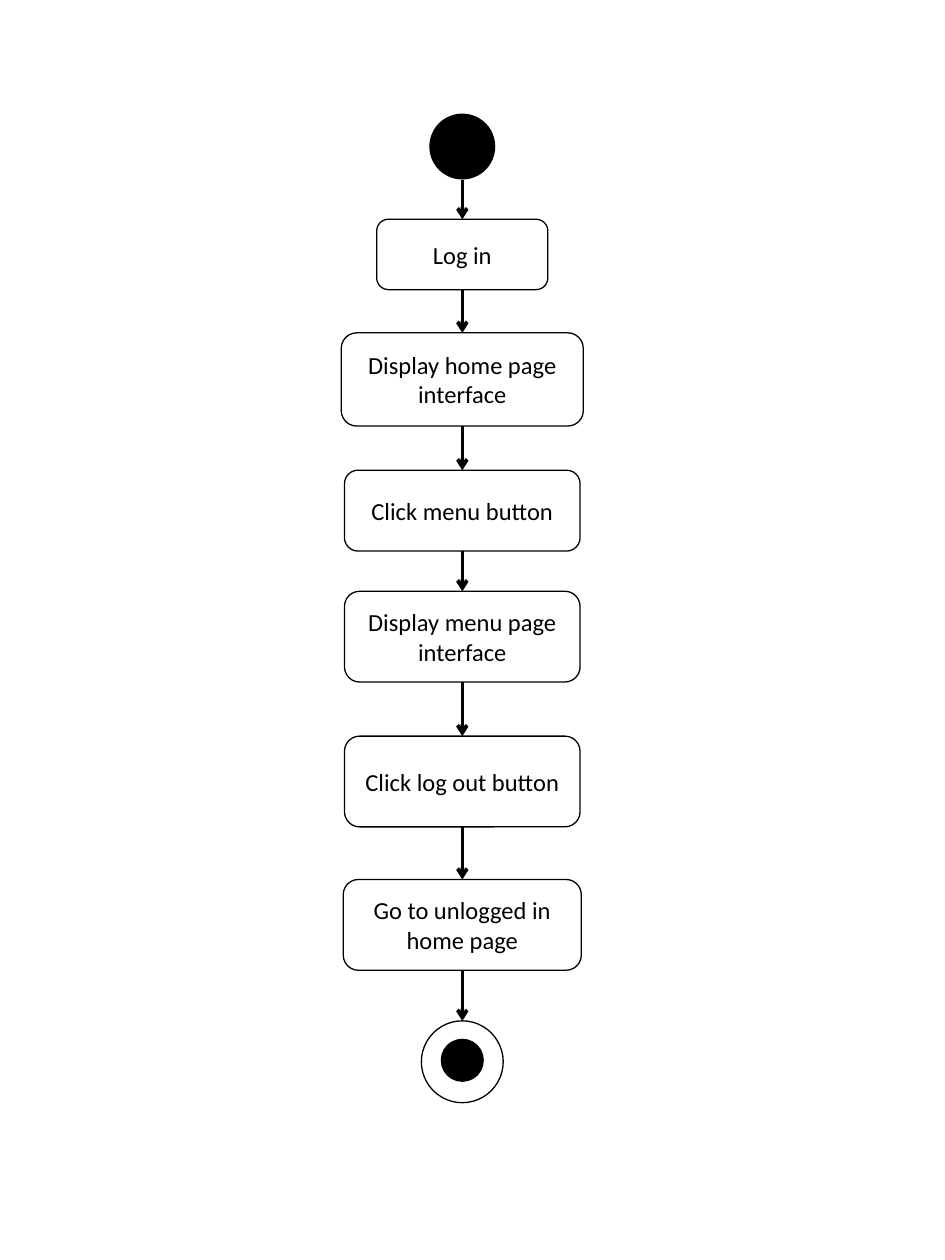
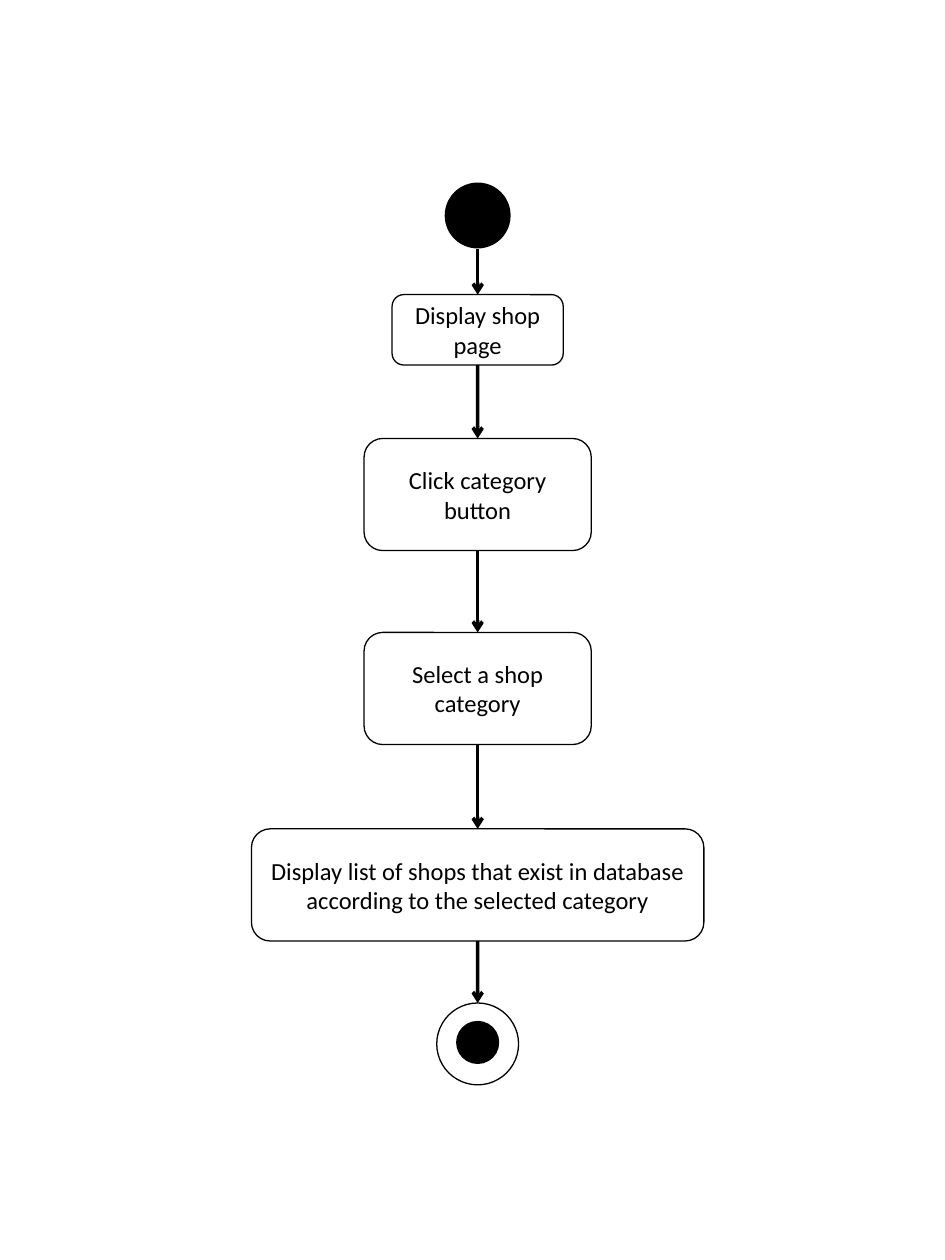
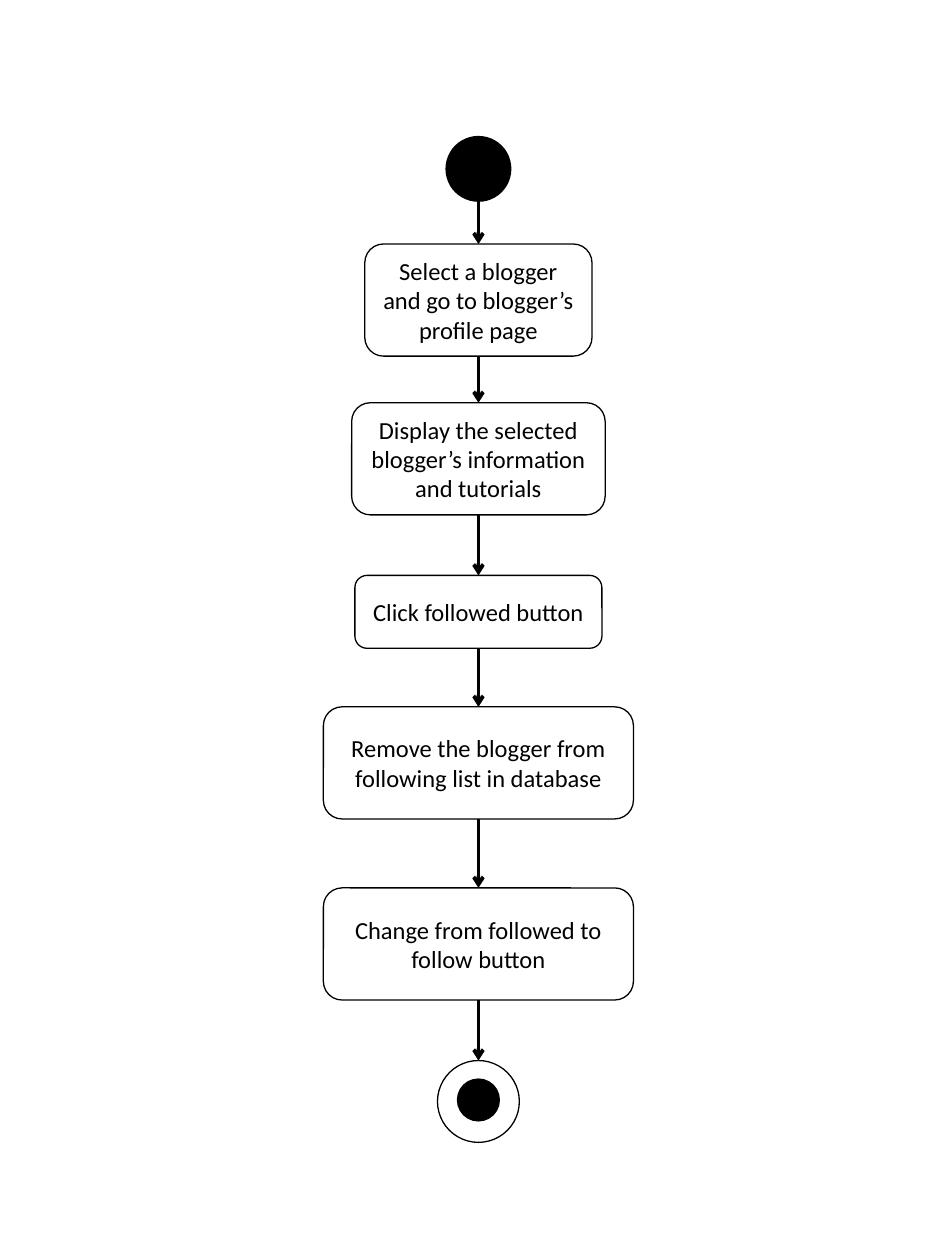
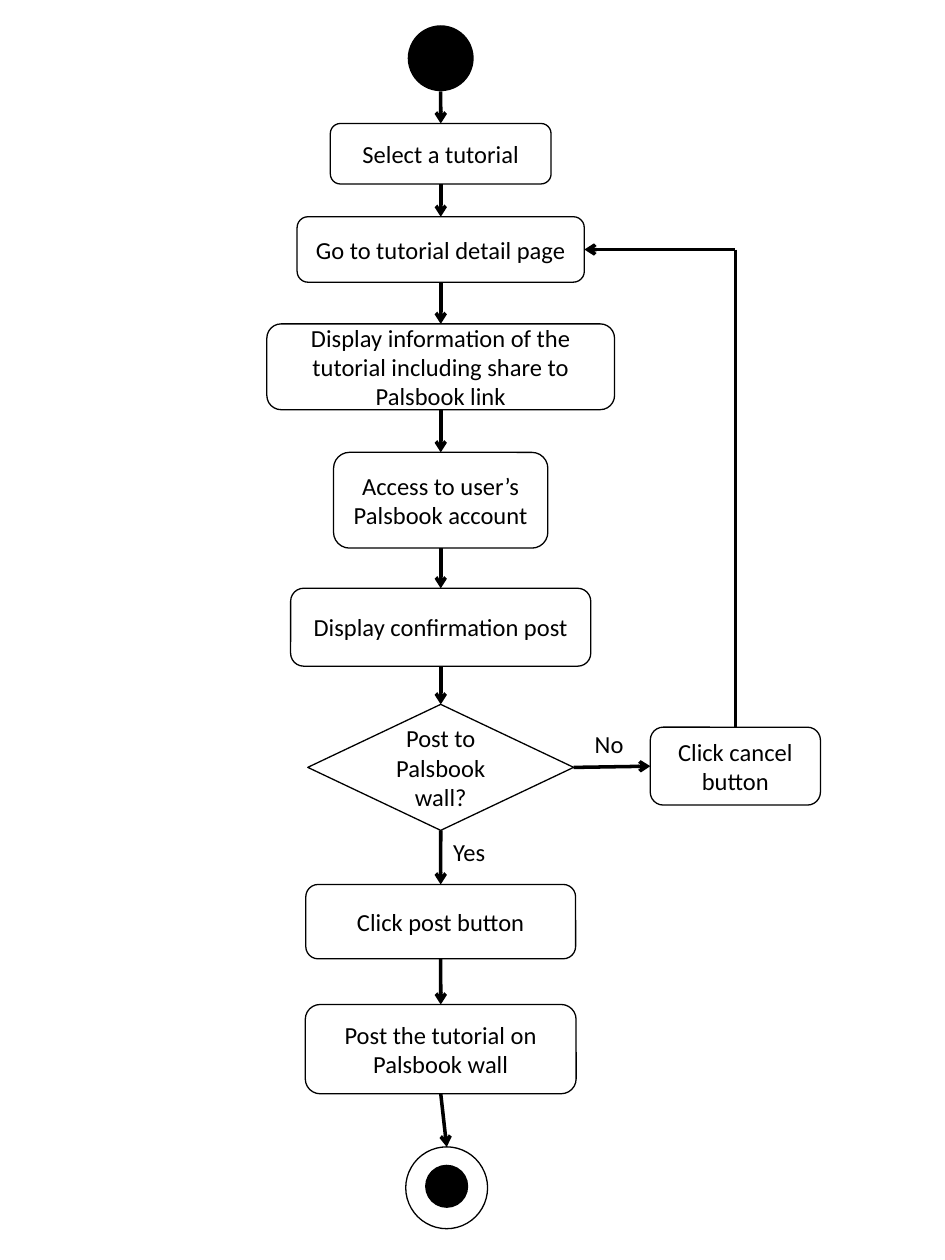
from lxml import etree
from pptx import Presentation
from pptx.dml.color import RGBColor
from pptx.enum.shapes import MSO_CONNECTOR, MSO_SHAPE
from pptx.enum.text import MSO_ANCHOR, PP_ALIGN
from pptx.oxml.ns import qn
from pptx.util import Cm, Pt

OVAL = MSO_SHAPE.OVAL
ACTION = MSO_SHAPE.ROUNDED_RECTANGLE
DECISION = MSO_SHAPE.FLOWCHART_DECISION
STRAIGHT = MSO_CONNECTOR.STRAIGHT
MIDDLE = MSO_ANCHOR.MIDDLE
CENTER = PP_ALIGN.CENTER
TOP, BOTTOM, RIGHT, LEFT = 0, 2, 3, 1

BLACK = RGBColor(0x00, 0x00, 0x00)
WHITE = RGBColor(0xFF, 0xFF, 0xFF)
FONT, SIZE = "Calibri", Pt(14)
START_SIZE, END_SIZE, DOT_SIZE, DOT_DROP = 1.33, 1.65, 0.87, 0.36


def write(tf, text):
    """Put one paragraph in the diagram font into a text frame."""
    tf.word_wrap = True
    p = tf.paragraphs[0]
    p.text = text
    p.font.name, p.font.size, p.font.color.rgb = FONT, SIZE, BLACK
    return p


def add_node(s, kind, left, top, width, height, text="", fill=WHITE):
    """Draw one node of the diagram; black nodes have no outline."""
    sp = s.shapes.add_shape(kind, Cm(left), Cm(top), Cm(width), Cm(height))
    sp.shadow.inherit = False
    sp.fill.solid()
    sp.fill.fore_color.rgb = fill
    if fill == BLACK:
        sp.line.fill.background()
    else:
        sp.line.color.rgb = BLACK
        sp.line.width = Pt(0.75)
    if text:
        sp.text_frame.vertical_anchor = MIDDLE
        write(sp.text_frame, text).alignment = CENTER
    return sp


def add_label(s, left, top, width, text):
    """Write the condition beside a branch."""
    tb = s.shapes.add_textbox(left, top, Cm(width), Cm(0.86))
    write(tb.text_frame, text)


def add_line(s, x1, y1, x2, y2, arrow=True):
    """Draw a straight black line, with an arrowhead at its end if wanted."""
    c = s.shapes.add_connector(STRAIGHT, x1, y1, x2, y2)
    c.line.color.rgb = BLACK
    c.line.width = Pt(2)
    if arrow:
        etree.SubElement(c.line._get_or_add_ln(), qn("a:tailEnd"), type="arrow")
    etree.SubElement(c._element.spPr, qn("a:effectLst"))
    return c


def link(s, a, b, a_site=BOTTOM, b_site=TOP):
    """Draw an arrow from node a to node b and glue its ends."""
    c = add_line(s, a.left + a.width // 2, a.top + a.height, b.left, b.top)
    if a.auto_shape_type != OVAL:
        c.begin_connect(a, a_site)
    c.end_connect(b, b_site)


def add_flow(s, box, steps, end_shift=0):
    """Centre a start, the steps and an end in the box and link them in order."""
    left, top, width, height = box
    axis = left + width / 2
    nodes = [add_node(s, OVAL, axis - START_SIZE / 2, top, START_SIZE, START_SIZE, fill=BLACK)]
    for text, drop, w, h in steps:
        kind = DECISION if text.endswith("?") else ACTION
        nodes.append(add_node(s, kind, axis - w / 2, top + drop, w, h, text))
    end_x, end_y = axis + end_shift, top + height - END_SIZE
    nodes.append(add_node(s, OVAL, end_x - END_SIZE / 2, end_y, END_SIZE, END_SIZE))
    add_node(s, OVAL, end_x - DOT_SIZE / 2, end_y + DOT_DROP, DOT_SIZE, DOT_SIZE, fill=BLACK)
    for a, b in zip(nodes, nodes[1:]):
        link(s, a, b)
    return nodes


def add_cancel_branch(s, box, decision, target):
    """Place the cancel step at the right of the box and lead it back to target."""
    left, top, width, height = box
    w, h = 3.43, 1.57
    cancel = add_node(s, ACTION, left + width - w, top + height - h, w, h, "Click cancel button")
    link(s, decision, cancel, RIGHT, LEFT)
    add_label(s, Cm(left), Cm(top), 1.19, "No")
    add_label(s, decision.left + decision.width // 2, decision.top + decision.height, 1.65, "Yes")
    x, y = cancel.left + cancel.width // 2, target.top + target.height // 2
    add_line(s, x, y, x, cancel.top, arrow=False).end_connect(cancel, TOP)
    add_line(s, x, y, target.left + target.width, y).end_connect(target, RIGHT)


LOG_OUT = [
    ("Log in", 2.13, 3.45, 1.42),
    ("Display home page interface", 4.42, 4.88, 1.88),
    ("Click menu button", 7.19, 4.75, 1.63),
    ("Display menu page interface", 9.63, 4.75, 1.83),
    ("Click log out button", 12.55, 4.75, 1.83),
    ("Go to unlogged in home page", 15.44, 4.8, 1.83),
]
SHOP_CATEGORY = [
    ("Display shop page", 2.26, 3.45, 1.42),
    ("Click category button", 5.16, 4.58, 2.26),
    ("Select a shop category", 9.07, 4.58, 2.26),
    ("Display list of shops that exist in database according to the selected category",
     13.03, 9.12, 2.26),
]
UNFOLLOW = [
    ("Select a blogger and go to blogger’s profile page", 2.18, 4.58, 2.26),
    ("Display the selected blogger’s information and tutorials", 5.38, 5.11, 2.26),
    ("Click followed button", 8.86, 4.98, 1.47),
    ("Remove the blogger from following list in database", 11.51, 6.25, 2.26),
    ("Change from followed to follow button", 15.16, 6.25, 2.26),
]
SHARE = [
    ("Select a tutorial", 1.98, 4.45, 1.22),
    ("Go to tutorial detail page", 3.86, 5.79, 1.32),
    ("Display information of the tutorial including share to Palsbook link", 6.02, 7.01, 1.73),
    ("Access to user’s Palsbook account", 8.61, 4.32, 1.93),
    ("Display confirmation post", 11.35, 6.05, 1.57),
    ("Post to Palsbook wall?", 13.69, 5.36, 2.54),
    ("Click post button", 17.32, 5.44, 1.5),
    ("Post the tutorial on Palsbook wall", 19.74, 5.46, 1.8),
]

prs = Presentation()
prs.slide_width, prs.slide_height = Cm(19.05), Cm(25.4)
blank = prs.slide_layouts[6]

add_flow(prs.slides.add_slide(blank), (6.88, 2.29, 4.88, 19.94), LOG_OUT)
add_flow(prs.slides.add_slide(blank), (5.07, 3.68, 9.12, 18.19), SHOP_CATEGORY)
add_flow(prs.slides.add_slide(blank), (6.52, 2.74, 6.25, 20.29), UNFOLLOW)

s = prs.slides.add_slide(blank)
share = add_flow(s, (5.38, 0.51, 7.01, 24.26), SHARE, end_shift=0.12)
add_cancel_branch(s, (11.74, 14.58, 4.8, 1.65), decision=share[6], target=share[2])

prs.save("out.pptx")
